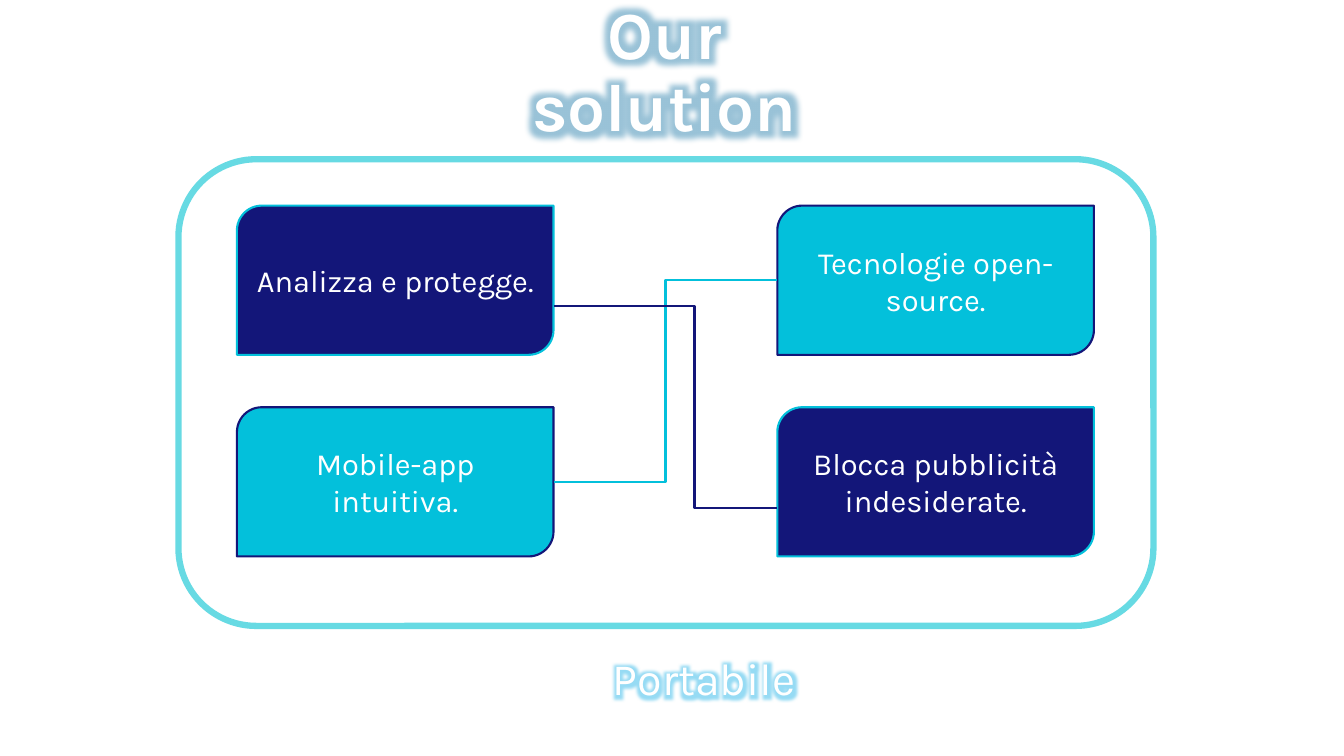
import pptx
import pptx.util
import pptx.dml.color
import pptx.enum.shapes
import pptx.enum.text
import pptx.oxml
import pptx.oxml.ns
import lxml.etree

NAVY, CYAN, AQUA, WHITE = "131679", "03C0DB", "67DAE3", "FFFFFF"
FONT = "Karla"
CARDS = [
    ["Analizza e protegge.", "Tecnologie open-source."],
    ["Mobile-app intuitiva.", "Blocca pubblicità indesiderate."],
]
CARD_LEFT, CARD_TOP = 2.35, 2.04
CARD_WIDTH, CARD_HEIGHT = 3.14, 1.48
COLUMN_STEP, ROW_STEP = 5.36, 2.0
LINKS = [
    {"rows": (1, 0), "drop": 0.74, "color": CYAN, "bend": 50000},
    {"rows": (0, 1), "drop": 1.0, "color": NAVY, "bend": 63000},
]
TITLE = {"text": "Our solution", "area": (4.61, 0.25, 3.96, 0.96), "size": 48,
         "glow": ("9AC3D8", 18)}
FOOTER = {"text": "Portabile", "area": (5.48, 6.41, 3.27, 0.64), "size": 32,
          "glow": ("97DCF5", 11)}

SHAPES = pptx.enum.shapes.MSO_SHAPE
MIDDLE = pptx.enum.text.MSO_ANCHOR.MIDDLE
CENTER = pptx.enum.text.PP_ALIGN.CENTER


def rgb(value):
    return pptx.dml.color.RGBColor.from_string(value)


def inches(*lengths):
    return [pptx.util.Inches(length) for length in lengths]


def add_xml(parent, tag, **attributes):
    child = lxml.etree.SubElement(parent, pptx.oxml.ns.qn(tag))
    for name, value in attributes.items():
        child.set(name, str(value))
    return child


def write(box, text, size, bold=False):
    box.text_frame.word_wrap = True
    para = box.text_frame.paragraphs[0]
    para.text = text
    span = para.runs[0]
    span.font.name = FONT
    span.font.size = pptx.util.Pt(size)
    span.font.bold = bold
    span.font.color.rgb = rgb(WHITE)
    return para


def add_glow(para, color, radius):
    properties = para.runs[0].font._element
    effects = add_xml(properties, "a:effectLst")
    glow = add_xml(effects, "a:glow", rad=pptx.util.Pt(radius))
    add_xml(glow, "a:srgbClr", val=color)
    properties.find(pptx.oxml.ns.qn("a:solidFill")).addnext(effects)


def add_label(page, label, bold=False):
    box = page.shapes.add_textbox(*inches(*label["area"]))
    para = write(box, label["text"], label["size"], bold)
    add_glow(para, *label["glow"])
    return box, para


def add_panel(page, kind, area, line, width, fill=None):
    panel = page.shapes.add_shape(kind, *inches(*area))
    panel.shadow.inherit = False
    if fill:
        panel.fill.solid()
        panel.fill.fore_color.rgb = rgb(fill)
    else:
        panel.fill.background()
    panel.line.color.rgb = rgb(line)
    panel.line.width = pptx.util.Pt(width)
    return panel


def add_link(page, rows, drop, color, bend):
    start, end = [CARD_TOP + row * ROW_STEP + drop for row in rows]
    link = page.shapes.add_connector(
        pptx.enum.shapes.MSO_CONNECTOR.ELBOW,
        *inches(CARD_LEFT + CARD_WIDTH, start, CARD_LEFT + COLUMN_STEP, end))
    link.line.color.rgb = rgb(color)
    link.line.width = pptx.util.Pt(1.5)
    properties = link._element.spPr
    add_xml(properties, "a:effectLst")
    geometry = properties.find(pptx.oxml.ns.qn("a:prstGeom"))
    guides = geometry.find(pptx.oxml.ns.qn("a:avLst"))
    if guides is None:
        guides = add_xml(geometry, "a:avLst")
    add_xml(guides, "a:gd", name="adj1", fmla=f"val {bend}")


def main():
    deck = pptx.Presentation()
    deck.slide_width, deck.slide_height = inches(13.33, 7.5)
    page = deck.slides.add_slide(deck.slide_layouts[6])

    add_panel(page, SHAPES.ROUNDED_RECTANGLE, (1.77, 1.58, 9.67, 4.63), AQUA, 4.5)

    title, para = add_label(page, TITLE, bold=True)
    title.text_frame.vertical_anchor = MIDDLE
    para.alignment = CENTER
    para.line_spacing = 0.9

    for row, texts in enumerate(CARDS):
        for column, text in enumerate(texts):
            fill, line = (NAVY, CYAN) if row == column else (CYAN, NAVY)
            area = (CARD_LEFT + column * COLUMN_STEP, CARD_TOP + row * ROW_STEP,
                    CARD_WIDTH, CARD_HEIGHT)
            card = add_panel(page, SHAPES.ROUND_2_DIAG_RECTANGLE, area, line, 1.5, fill)
            card.text_frame.vertical_anchor = MIDDLE
            write(card, text, 22).alignment = CENTER

    for link in LINKS:
        add_link(page, **link)

    footer, para = add_label(page, FOOTER)
    footer.text_frame.auto_size = pptx.enum.text.MSO_AUTO_SIZE.SHAPE_TO_FIT_TEXT
    para.level = 1
    indent = para._element.get_or_add_pPr()
    indent.set("marL", str(pptx.util.Inches(0.5)))
    indent.set("indent", "0")

    deck.save("out.pptx")


if __name__ == "__main__":
    main()
